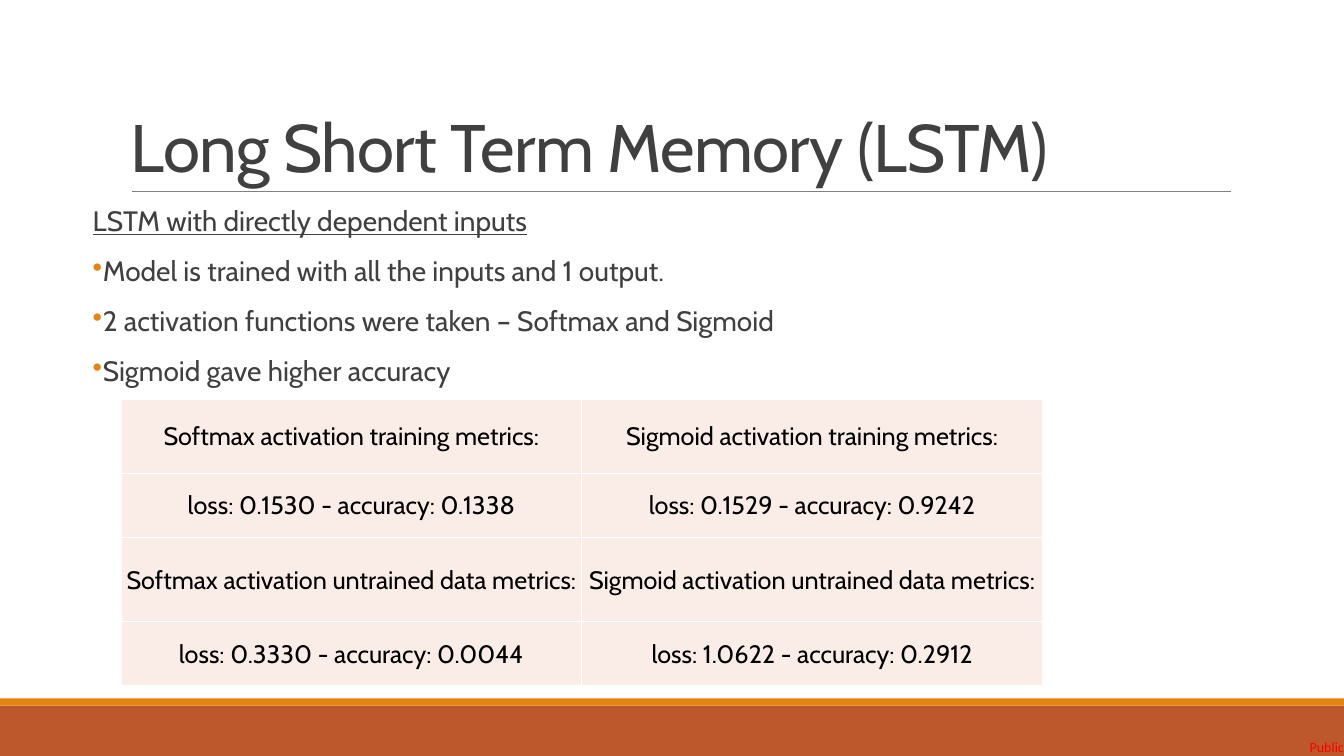
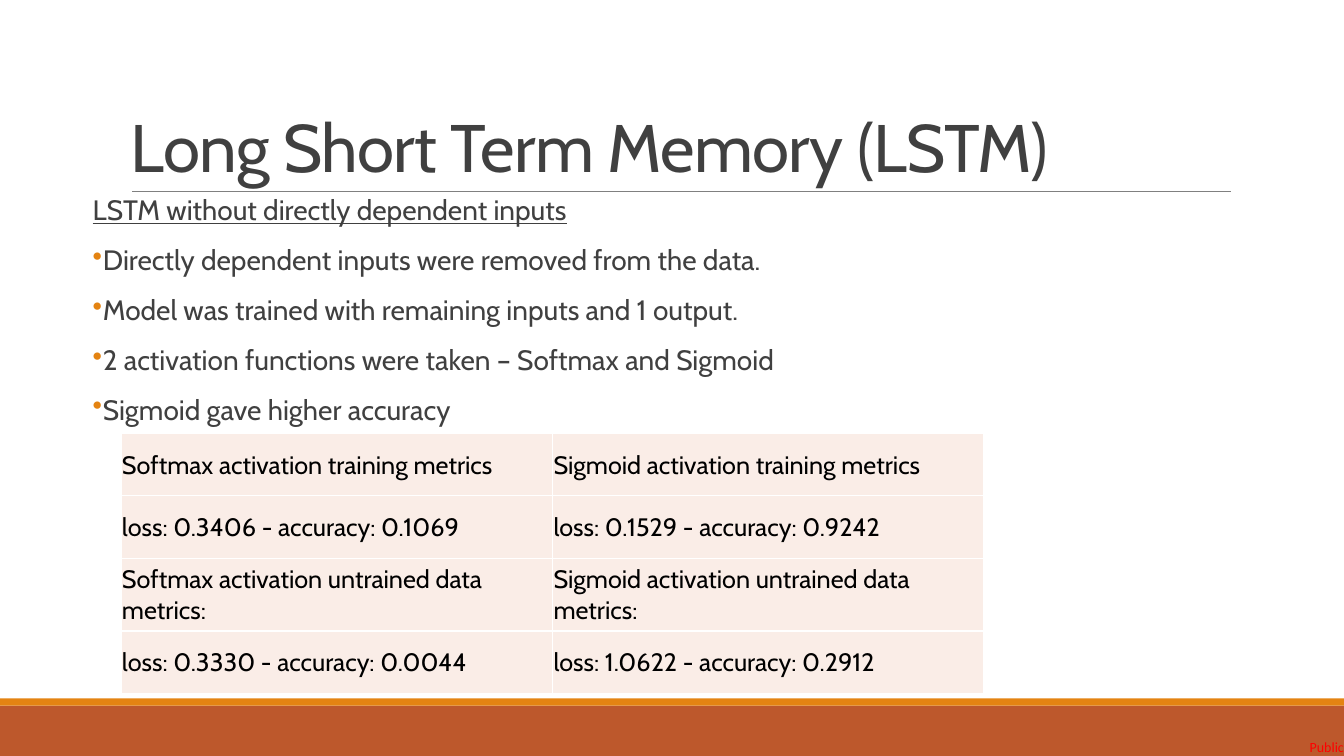
from dataclasses import dataclass

from lxml import etree
from pptx import Presentation
from pptx import util as u
from pptx.dml.color import RGBColor
from pptx.enum import shapes, text
from pptx.oxml import ns

EMU_PER_PX = 9144


@dataclass(frozen=True)
class Theme:
    font: str = "Cabin"
    label_font: str = "Calibri"
    ink: str = "404040"
    cell_ink: str = "000000"
    label_ink: str = "FF0000"
    band: str = "BD582C"
    accent: str = "E48312"
    rule: str = "808080"
    cell_fill: str = "FAEDE7"
    cell_border: str = "FFFFFF"
    title_size: int = 48
    body_size: int = 20
    cell_size: int = 18
    label_size: int = 10


THEME = Theme()
TITLE = "Long Short Term Memory (LSTM)"
ACTIVATIONS = "2 activation functions were taken – Softmax and Sigmoid"
FINDING = "Sigmoid gave higher accuracy"
UNTRAINED_ROWS = [
    ["Softmax activation untrained data metrics:", "Sigmoid activation untrained data metrics:"],
    ["loss: 0.3330 - accuracy: 0.0044", "loss: 1.0622 - accuracy: 0.2912"],
]


def px(*lengths):
    return [u.Emu(length * EMU_PER_PX) for length in lengths]


def rgb(color):
    return RGBColor.from_string(color)


def child(parent, tag, **attributes):
    return etree.SubElement(parent, ns.qn(tag), attributes)


def write(paragraph, wording, *, size, color, font=THEME.font, underline=None,
          tracking=None, align=None, line=None, before=None, after=None, bullet=False):
    run = paragraph.add_run()
    run.text = wording
    run.font.name = font
    run.font.size = u.Pt(size)
    run.font.color.rgb = rgb(color)
    run.font.underline = underline
    if tracking is not None:
        run.font._element.set("spc", str(round(tracking * 100)))
    paragraph.alignment = align
    paragraph.line_spacing = line
    paragraph.space_before = None if before is None else u.Pt(before)
    paragraph.space_after = None if after is None else u.Pt(after)
    if bullet:
        properties = paragraph._p.get_or_add_pPr()
        indent = px(10)[0]
        properties.set("marL", str(indent))
        properties.set("indent", str(-indent))
        child(child(properties, "a:buClr"), "a:srgbClr", val=THEME.accent)
        child(properties, "a:buChar", char="•")


def set_margins(holder, left, top, right, bottom):
    (holder.margin_left, holder.margin_top,
     holder.margin_right, holder.margin_bottom) = px(left, top, right, bottom)


def add_frame(slide, box, margins, anchor=text.MSO_ANCHOR.TOP, wrap=True):
    frame = slide.shapes.add_textbox(*px(*box)).text_frame
    frame.word_wrap = wrap
    frame.vertical_anchor = anchor
    set_margins(frame, *margins)
    return frame


def add_band(slide, top, height, color):
    band = slide.shapes.add_shape(shapes.MSO_SHAPE.RECTANGLE, *px(0, top, 1333, height))
    band.shadow.inherit = False
    band.fill.solid()
    band.fill.fore_color.rgb = rgb(color)
    band.line.fill.background()


def add_rule(slide, left, right, y):
    rule = slide.shapes.add_connector(shapes.MSO_CONNECTOR.STRAIGHT, *px(left, y, right, y))
    rule.line.color.rgb = rgb(THEME.rule)
    rule.line.width = u.Pt(0.5)
    child(rule._element.spPr, "a:effectLst")


def add_base(deck, title):
    slide = deck.slides.add_slide(deck.slide_layouts[6])
    add_band(slide, 700, 50, THEME.band)
    add_band(slide, 693, 7, THEME.accent)
    add_rule(slide, 131, 1221, 190)
    label = add_frame(slide, (1299, 733, 37, 17), (0, 0, 0, 0), wrap=False)
    write(label.paragraphs[0], "Public", size=THEME.label_size,
          color=THEME.label_ink, font=THEME.label_font)
    heading = add_frame(slide, (120, 31, 1100, 159), (10, 5, 10, 5), text.MSO_ANCHOR.BOTTOM)
    write(heading.paragraphs[0], title, size=THEME.title_size, color=THEME.ink,
          tracking=-0.5, line=0.85)
    return slide


def add_body(slide, top, height, subtitle, points):
    frame = add_frame(slide, (92, top, 1150, height), (0, 5, 0, 5))
    for index, wording in enumerate([subtitle, *points]):
        paragraph = frame.add_paragraph() if index else frame.paragraphs[0]
        write(paragraph, wording, size=THEME.body_size, color=THEME.ink,
              underline=index == 0, bullet=index > 0, line=0.9, before=12, after=2)


def style_cell(cell):
    properties = cell._tc.get_or_add_tcPr()
    for side in ("a:lnL", "a:lnR", "a:lnT", "a:lnB"):
        border = child(properties, side, w=str(u.Pt(1)))
        child(child(border, "a:solidFill"), "a:srgbClr", val=THEME.cell_border)
    cell.fill.solid()
    cell.fill.fore_color.rgb = rgb(THEME.cell_fill)
    cell.vertical_anchor = text.MSO_ANCHOR.MIDDLE
    set_margins(cell, 1, 1, 1, 0)


def add_metrics(slide, top, column_width, row_heights, rows, align):
    columns = len(rows[0])
    box = px(120, top, columns * column_width, sum(row_heights))
    table = slide.shapes.add_table(len(rows), columns, *box).table
    table.first_row = table.horz_banding = False
    for column in table.columns:
        column.width = px(column_width)[0]
    for row, height, wordings in zip(table.rows, row_heights, rows):
        row.height = px(height)[0]
        for cell, wording in zip(row.cells, wordings):
            style_cell(cell)
            write(cell.text_frame.paragraphs[0], wording, size=THEME.cell_size,
                  color=THEME.cell_ink, align=align)


def add_dependent_inputs(deck):
    slide = add_base(deck, TITLE)
    add_body(slide, 201, 514, "LSTM with directly dependent inputs", [
        "Model is trained with all the inputs and 1 output.",
        ACTIVATIONS,
        FINDING,
    ])
    add_metrics(slide, 396, 457, [74, 63, 84, 63], [
        ["Softmax activation training metrics:", "Sigmoid activation training metrics:"],
        ["loss: 0.1530 - accuracy: 0.1338", "loss: 0.1529 - accuracy: 0.9242"],
        *UNTRAINED_ROWS,
    ], text.PP_ALIGN.CENTER)


def add_independent_inputs(deck):
    slide = add_base(deck, TITLE)
    add_body(slide, 190, 486, "LSTM without directly dependent inputs", [
        "Directly dependent inputs were removed from the data.",
        "Model was trained with remaining inputs and 1 output.",
        ACTIVATIONS,
        FINDING,
    ])
    add_metrics(slide, 430, 428, [62, 62, 72, 62], [
        ["Softmax activation training metrics", "Sigmoid activation training metrics"],
        ["loss: 0.3406 - accuracy: 0.1069", "loss: 0.1529 - accuracy: 0.9242"],
        *UNTRAINED_ROWS,
    ], text.PP_ALIGN.LEFT)


def main():
    deck = Presentation()
    deck.slide_width, deck.slide_height = px(1333, 750)
    add_dependent_inputs(deck)
    add_independent_inputs(deck)
    deck.save("out.pptx")


if __name__ == "__main__":
    main()
